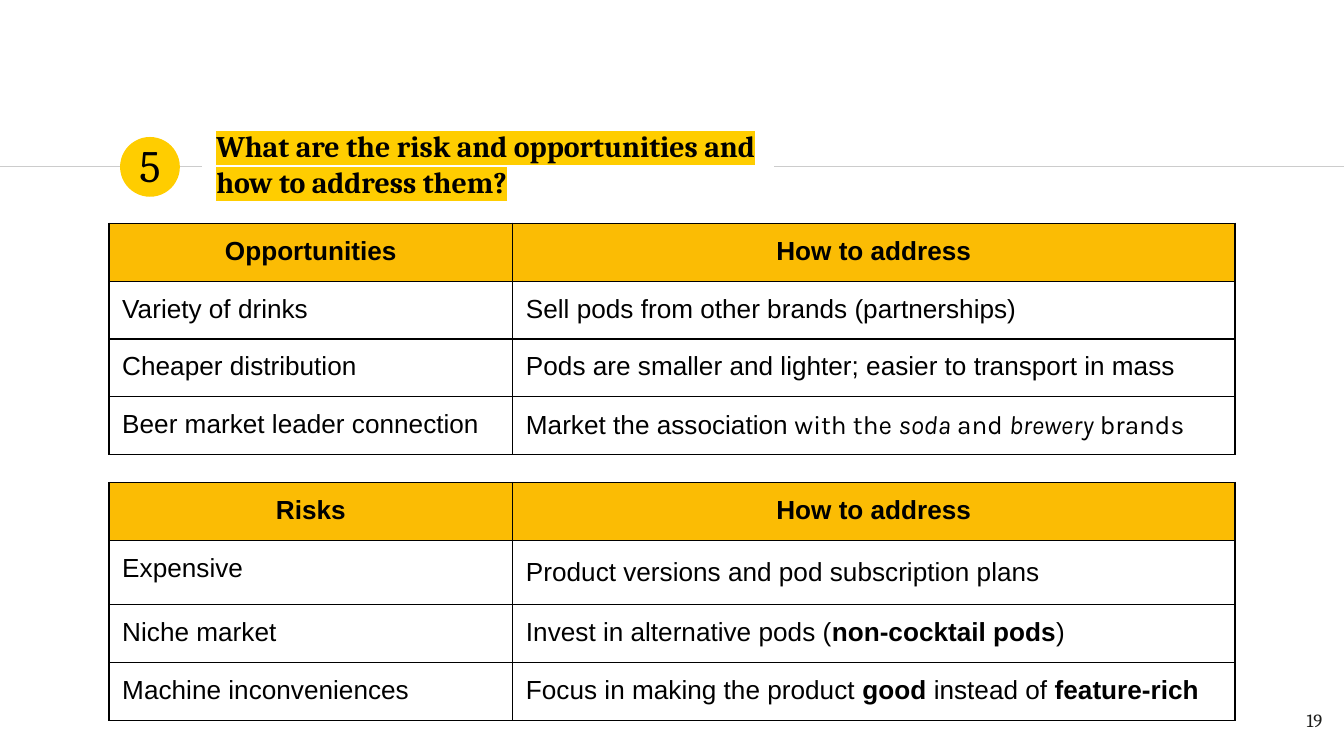
from lxml import etree
from pptx import Presentation
from pptx.dml.color import RGBColor
from pptx.enum import shapes, text
from pptx.oxml.ns import qn
from pptx.util import Cm, Pt

BLACK, YELLOW, AMBER, GREY = "000000", "FFCD00", "FBBC04", "CCCCCC"
INSET = Cm(0.25)
BOLD = {"bold": True}
KARLA = {"font": "Karla"}
KARLA_ITALIC = {"font": "Karla", "italic": True}

# A cell is a string or a list of (text, format) runs
OPPORTUNITIES = [
    ("Opportunities", "How to address"),
    ("Variety of drinks", "Sell pods from other brands (partnerships)"),
    ("Cheaper distribution",
     "Pods are smaller and lighter; easier to transport in mass"),
    ("Beer market leader connection",
     [("Market the association", {}), (" with the ", KARLA),
      ("soda", KARLA_ITALIC), (" and ", KARLA),
      ("brewery", KARLA_ITALIC), (" brands", KARLA)]),
]
RISKS = [
    ("Risks", "How to address"),
    ("Expensive", "Product versions and pod subscription plans"),
    ("Niche market",
     [("Invest in alternative pods (", {}), ("non-cocktail pods", BOLD),
      (")", {})]),
    ("Machine inconveniences",
     [("Focus in making the product ", {}), ("good", BOLD),
      (" instead of ", {}), ("feature-rich", BOLD)]),
]


def rgb(value):
    return RGBColor.from_string(value)


def add_run(p, content, size=14, font="Arial", color=BLACK, bold=False,
            italic=False, highlight=None):
    r = p.add_run()
    r.text = content
    f = r.font
    f.size, f.name, f.bold, f.italic = Pt(size), font, bold, italic
    f.color.rgb = rgb(color)
    if highlight:
        mark = etree.Element(qn("a:highlight"))
        etree.SubElement(mark, qn("a:srgbClr"), val=highlight)
        r._r.rPr.find(qn("a:solidFill")).addnext(mark)


def add_text(s, box, content, align=text.PP_ALIGN.LEFT,
             anchor=text.MSO_ANCHOR.MIDDLE, **fmt):
    tf = s.shapes.add_textbox(*map(Cm, box)).text_frame
    tf.word_wrap = True
    tf.vertical_anchor = anchor
    tf.margin_left = tf.margin_right = tf.margin_top = tf.margin_bottom = INSET
    p = tf.paragraphs[0]
    p.alignment = align
    add_run(p, content, font="Cambria", **fmt)


def add_rule(s, x1, x2, y):
    line = s.shapes.add_connector(shapes.MSO_CONNECTOR.STRAIGHT,
                                  Cm(x1), Cm(y), Cm(x2), Cm(y))
    line.line.color.rgb = rgb(GREY)
    line.line.width = Pt(0.75)
    etree.SubElement(line._element.spPr, qn("a:effectLst"))


def add_header(s, left, top, width, height):
    """Rules across the slide, numbered circle and highlighted title."""
    middle = top + height / 2 + 0.05
    add_rule(s, left, left + 3.82, middle)
    circle = (left + 2.27, middle - 0.56, 1.13, 1.13)
    sp = s.shapes.add_shape(shapes.MSO_SHAPE.OVAL, *map(Cm, circle))
    sp.shadow.inherit = False
    sp.fill.solid()
    sp.fill.fore_color.rgb = rgb(YELLOW)
    sp.line.fill.background()
    add_rule(s, left + 14.63, left + width, middle)
    add_text(s, (left + 3.84, top, 10.77, height),
             "What are the risk and opportunities and how to address them?",
             size=16, bold=True, highlight=YELLOW)
    add_text(s, (left + 2.27, top + 0.02, 1.13, height), "5",
             align=text.PP_ALIGN.CENTER, size=24)


def add_borders(cell):
    tcPr = cell._tc.get_or_add_tcPr()
    for side in ("lnL", "lnR", "lnT", "lnB"):
        ln = etree.SubElement(tcPr, qn("a:" + side), w=str(Pt(0.75)))
        fill = etree.SubElement(ln, qn("a:solidFill"))
        etree.SubElement(fill, qn("a:srgbClr"), val=BLACK)


def fill_cell(cell, content, header):
    cell.margin_left = cell.margin_right = INSET
    cell.margin_top = cell.margin_bottom = INSET
    add_borders(cell)
    if header:
        cell.fill.solid()
        cell.fill.fore_color.rgb = rgb(AMBER)
    else:
        cell.fill.background()
    p = cell.text_frame.paragraphs[0]
    p.alignment = text.PP_ALIGN.CENTER if header else text.PP_ALIGN.LEFT
    runs = [(content, {})] if isinstance(content, str) else content
    for part, fmt in runs:
        add_run(p, part, **(BOLD if header else fmt))


def add_grid(s, left, top, widths, heights, rows):
    """Two-column table with a filled header row."""
    table = s.shapes.add_table(len(rows), len(widths), Cm(left), Cm(top),
                               Cm(sum(widths)), Cm(sum(heights))).table
    table.first_row = table.horz_banding = False
    for column, width in zip(table.columns, widths):
        column.width = Cm(width)
    for i, (height, row) in enumerate(zip(heights, rows)):
        table.rows[i].height = Cm(height)
        for j, content in enumerate(row):
            fill_cell(table.cell(i, j), content, header=i == 0)
    return table


def main():
    prs = Presentation()
    prs.slide_width, prs.slide_height = Cm(25.4), Cm(14.29)
    s = prs.slides.add_slide(prs.slide_layouts[6])

    add_header(s, 0, 2.49, 25.4, 1.22)

    # Slide number
    add_text(s, (23.72, 13.18, 1.52, 1.09), "19", align=text.PP_ALIGN.RIGHT,
             anchor=text.MSO_ANCHOR.TOP, size=10, color="1D1D1B")

    # Opportunities above, risks below
    widths = (7.63, 13.65)
    add_grid(s, 2.06, 4.22, widths, (1.06, 1.06, 1.06, 1.08), OPPORTUNITIES)
    risks = add_grid(s, 2.06, 9.12, widths, (1.09, 1.21, 1.1, 1.1), RISKS)
    p = risks.cell(1, 1).text_frame.paragraphs[0]
    p.line_spacing, p.space_before = 1.15, Pt(6)

    prs.save("out.pptx")


if __name__ == "__main__":
    main()
